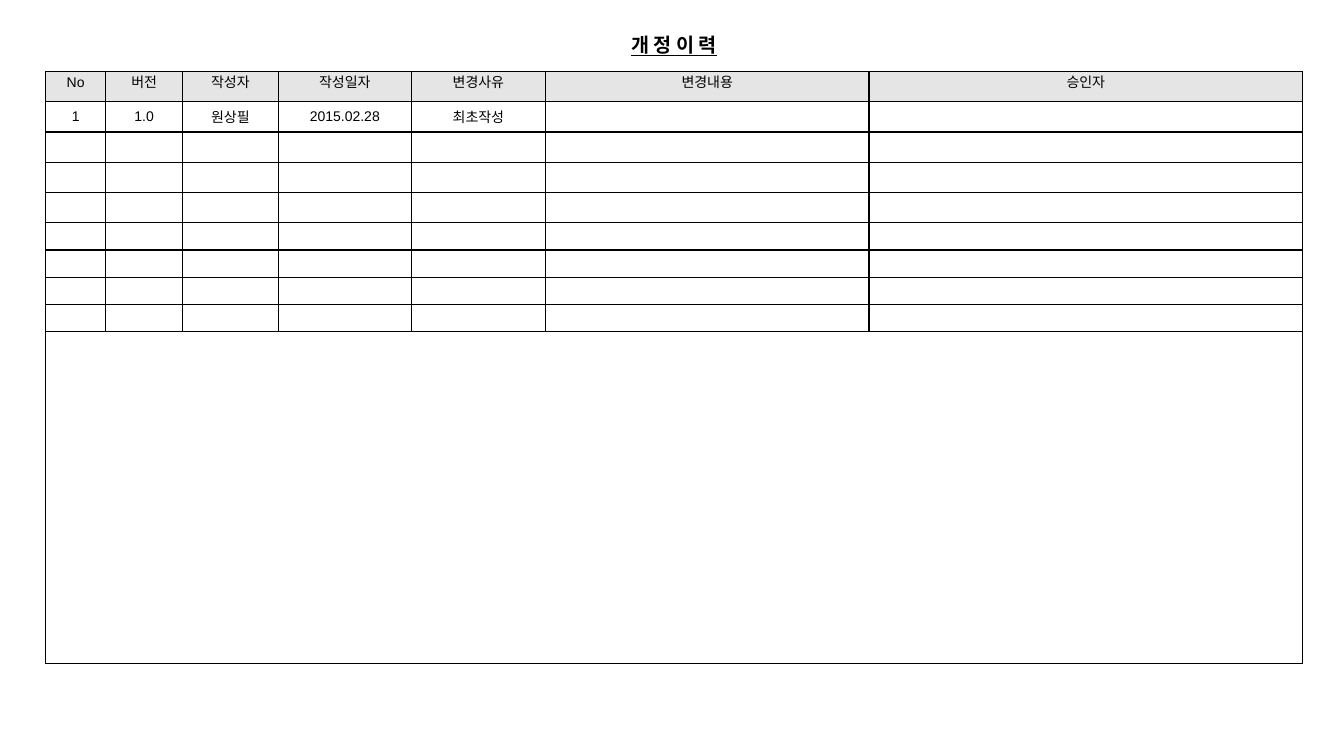
from lxml import etree
from pptx import Presentation
from pptx import util as u
from pptx.dml.color import RGBColor
from pptx.enum import text
from pptx.oxml import ns

PX = 9144  # 100 px to the inch
COLORS = {"ink": "000000", "header": "E5E5E5"}
KOREAN, LATIN = "Noto Sans CJK KR", "Arial"
BODY_SIZE = 10

COLUMN_WIDTHS = [60, 76, 95, 132, 133, 321, 430]
ROW_HEIGHTS = [30] * 5 + [27] * 4 + [329]
HEADINGS = ["No", "버전", "작성자", "작성일자", "변경사유", "변경내용", "승인자"]
REVISIONS = [["1", "1.0", "원상필", "2015.02.28", "최초작성"]]


def px(length):
    return u.Emu(length * PX)


def write(frame, wording, size=BODY_SIZE, font=LATIN, bold=False,
          underline=False, spacing=None):
    """Write one centred line; an empty line still takes the given size."""
    paragraph = frame.paragraphs[0]
    paragraph.alignment = text.PP_ALIGN.CENTER
    if spacing:
        paragraph.line_spacing = spacing
    if not wording:
        etree.SubElement(paragraph._p, ns.qn("a:endParaRPr"), sz=str(size * 100))
        return
    run = paragraph.add_run()
    run.text = wording
    run.font.size = u.Pt(size)
    run.font.name = font
    run.font.bold = bold
    run.font.underline = underline
    run.font.color.rgb = RGBColor.from_string(COLORS["ink"])
    latin = run.font._element.find(ns.qn("a:latin"))
    latin.addnext(etree.Element(ns.qn("a:ea"), typeface=KOREAN))


def add_borders(cell, points=1):
    properties = cell._tc.get_or_add_tcPr()
    for side in ("a:lnL", "a:lnR", "a:lnT", "a:lnB"):
        line = etree.SubElement(properties, ns.qn(side), w=str(u.Pt(points)))
        fill = etree.SubElement(line, ns.qn("a:solidFill"))
        etree.SubElement(fill, ns.qn("a:srgbClr"), val=COLORS["ink"])


def format_cell(cell, wording, is_header):
    cell.margin_left = cell.margin_right = cell.margin_top = cell.margin_bottom = 0
    cell.vertical_anchor = text.MSO_ANCHOR.MIDDLE
    add_borders(cell)
    if is_header:
        cell.fill.solid()
        cell.fill.fore_color.rgb = RGBColor.from_string(COLORS["header"])
    else:
        cell.fill.background()
    write(cell.text_frame, wording, spacing=0.2 if is_header else None)


def place_title(slide, left, top, width, height):
    title = slide.shapes.title
    title.left, title.top, title.width, title.height = map(
        px, (left, top, width, height))
    frame = title.text_frame
    frame.vertical_anchor = text.MSO_ANCHOR.MIDDLE
    frame.word_wrap = True
    frame.auto_size = text.MSO_AUTO_SIZE.NONE
    frame.margin_top = frame.margin_bottom = 0
    write(frame, "개 정 이 력", size=14, font=KOREAN, bold=True, underline=True)


def add_revision_table(slide, left, top, width, height):
    history = slide.shapes.add_table(
        len(ROW_HEIGHTS), len(COLUMN_WIDTHS),
        px(left), px(top), px(width), px(height)).table
    history.first_row = history.horz_banding = False
    for column, column_width in zip(history.columns, COLUMN_WIDTHS):
        column.width = px(column_width)
    for row, row_height in zip(history.rows, ROW_HEIGHTS):
        row.height = px(row_height)

    entries = [HEADINGS] + REVISIONS
    for r, row in enumerate(history.rows):
        entry = entries[r] if r < len(entries) else []
        for c, cell in enumerate(row.cells):
            format_cell(cell, entry[c] if c < len(entry) else "", r == 0)
    last = len(ROW_HEIGHTS) - 1
    history.cell(last, 0).merge(history.cell(last, len(COLUMN_WIDTHS) - 1))


def main():
    deck = Presentation()
    deck.slide_width, deck.slide_height = px(1333), px(750)
    slide = deck.slides.add_slide(deck.slide_layouts.get_by_name("Title Only"))
    left, width = 45, sum(COLUMN_WIDTHS)
    place_title(slide, left, 26, width, 37)
    add_revision_table(slide, left, 71, width, sum(ROW_HEIGHTS))
    deck.save("out.pptx")


if __name__ == "__main__":
    main()
